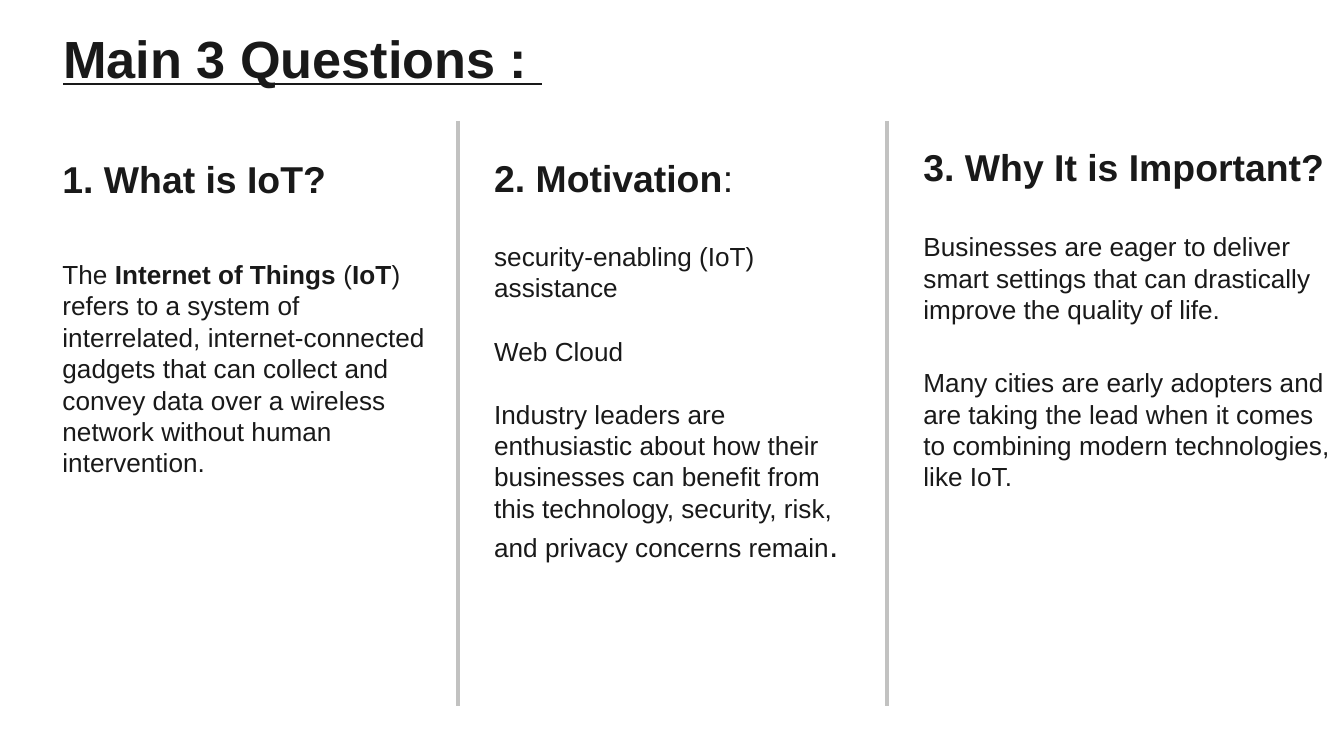
import pptx
import pptx.dml.color
import pptx.enum.shapes
import pptx.enum.text
import pptx.oxml.ns
import pptx.util
import lxml.etree

EMU_PER_PX = 914400 / 134.4
INK = "191919"
RULE = "C2C2C1"


def px(length):
    return pptx.util.Emu(round(length * EMU_PER_PX))


def color(value):
    return pptx.dml.color.RGBColor.from_string(value)


def write(para, text, size=14, bold=False, underline=False):
    span = para.add_run()
    span.text = text
    font = span.font
    font.name, font.size = "Arial", pptx.util.Pt(size)
    font.bold, font.underline = bold, underline
    font.color.rgb = color(INK)


class Page:
    def __init__(self, deck, layout):
        self.slide = deck.slides.add_slide(deck.slide_layouts[layout])

    def place(self, box, left, top, width, height):
        box.left, box.top = px(left), px(top)
        box.width, box.height = px(width), px(height)

    def fill(self, box, paragraphs, anchor):
        """Write (space before, spans) pairs, each span being (text, format)."""
        frame = box.text_frame
        frame.word_wrap = True
        frame.auto_size = pptx.enum.text.MSO_AUTO_SIZE.NONE
        frame.vertical_anchor = anchor
        for number, (space, spans) in enumerate(paragraphs):
            para = frame.add_paragraph() if number else frame.paragraphs[0]
            para.alignment = pptx.enum.text.PP_ALIGN.LEFT
            para.space_before = pptx.util.Pt(space)
            properties = para._p.get_or_add_pPr()
            properties.set("marL", "0")
            properties.set("indent", "0")
            lxml.etree.SubElement(properties, pptx.oxml.ns.qn("a:buNone"))
            for text, style in spans:
                write(para, text, **style)

    def title(self, text, *area):
        box = self.slide.shapes.title
        self.place(box, *area)
        spans = [(text, dict(size=28, bold=True, underline=True))]
        self.fill(box, [(0, spans)], pptx.enum.text.MSO_ANCHOR.MIDDLE)

    def body(self, index, paragraphs, *area):
        box = self.slide.placeholders[index]
        self.place(box, *area)
        self.fill(box, paragraphs, pptx.enum.text.MSO_ANCHOR.TOP)

    def text_box(self, paragraphs, *area):
        box = self.slide.shapes.add_textbox(*map(px, area))
        self.fill(box, paragraphs, pptx.enum.text.MSO_ANCHOR.TOP)

    def divider(self, x, top, bottom):
        line = self.slide.shapes.add_connector(
            pptx.enum.shapes.MSO_CONNECTOR.STRAIGHT, px(x), px(top), px(x), px(bottom))
        line.line.color.rgb = color(RULE)
        line.line.width = pptx.util.Pt(2)
        lxml.etree.SubElement(line._element.spPr, pptx.oxml.ns.qn("a:effectLst"))


HEADING = dict(size=20, bold=True)
BOLD = dict(bold=True)
PLAIN = {}

DEFINITION = [
    (0, [("1. What is IoT?", HEADING)]),
    (31, [
        ("The ", PLAIN), ("Internet of Things", BOLD), (" (", PLAIN), ("IoT", BOLD),
        (") refers to a system of interrelated, internet-connected gadgets that can "
         "collect and convey data over a wireless network without human intervention.", PLAIN),
    ]),
]
MOTIVATION = [
    (0, [("2. Motivation", HEADING), (":", dict(size=20))]),
    (21.5, [("security-enabling (IoT) assistance", PLAIN)]),
    (17, [("Web Cloud", PLAIN)]),
    (17, [
        ("Industry leaders are enthusiastic about how their businesses can benefit from "
         "this technology, security, risk, and privacy concerns remain", PLAIN),
        (".", dict(size=18)),
    ]),
]
IMPORTANCE = [
    (0, [("3. Why It is Important?", HEADING)]),
    (22.5, [("Businesses are eager to deliver smart settings that can drastically "
             "improve the quality of life.", PLAIN)]),
    (22.5, [("Many cities are early adopters and are taking the lead when it comes to "
             "combining modern technologies, like IoT.", PLAIN)]),
]


def main():
    deck = pptx.Presentation()
    deck.slide_width, deck.slide_height = px(1344), px(756)
    page = Page(deck, 3)
    page.title("Main 3 Questions : ", 50, 17, 1206, 81)
    page.body(1, DEFINITION, 49, 149, 398, 556)
    page.body(2, IMPORTANCE, 910, 137, 434, 499)
    for x in (458, 887):
        page.divider(x, 121, 706)
    page.text_box(MOTIVATION, 481, 149, 383, 425)
    deck.save("out.pptx")


if __name__ == "__main__":
    main()
